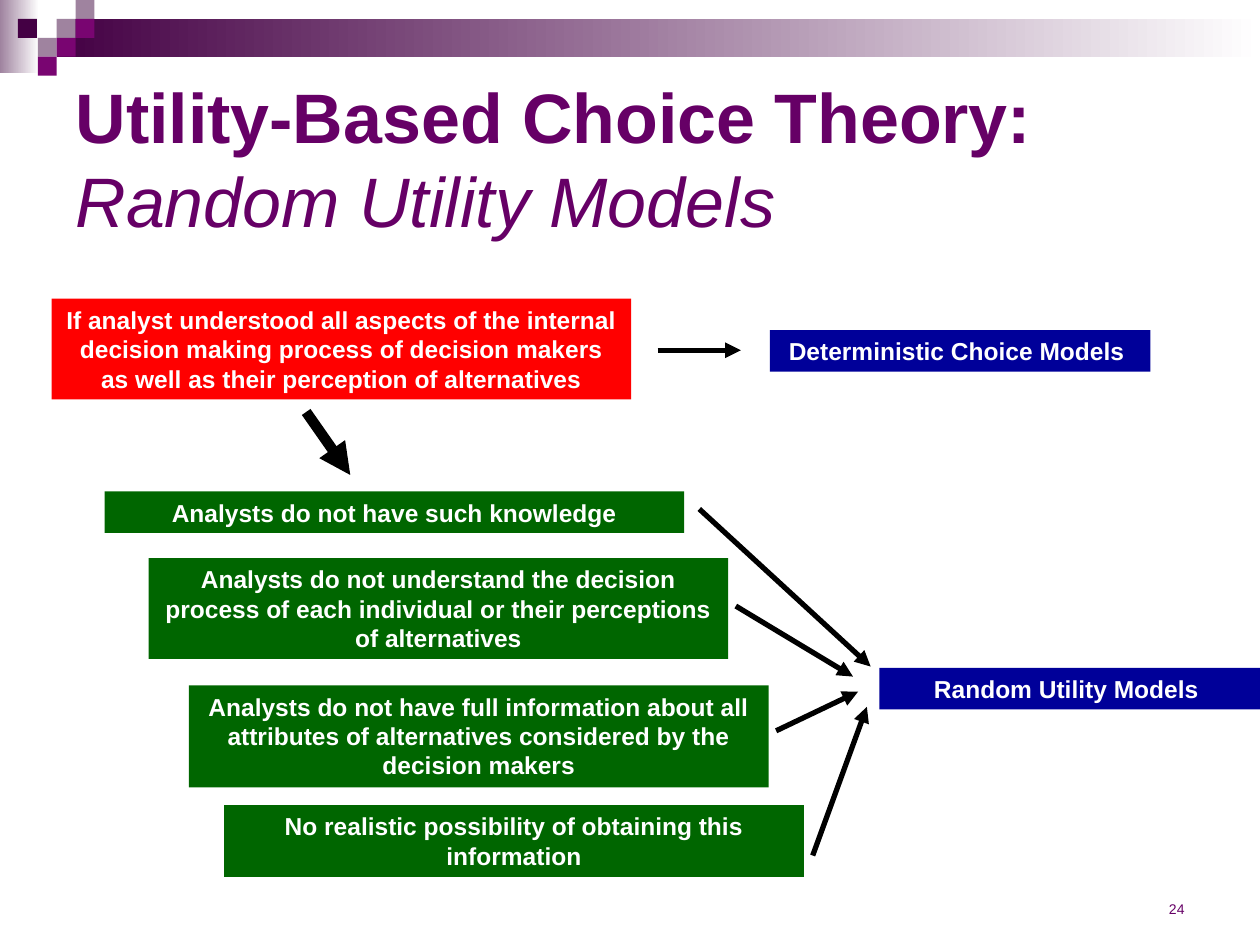
from dataclasses import dataclass

from lxml.etree import SubElement as Sub
from pptx import Presentation
from pptx.dml.color import RGBColor as Rgb
from pptx.enum.shapes import MSO_CONNECTOR as Line, MSO_SHAPE as Kind
from pptx.enum.text import MSO_ANCHOR as Anchor, MSO_AUTO_SIZE as Fit, PP_ALIGN as Align
from pptx.oxml.ns import qn
from pptx.util import Inches, Pt

COLORS = {
    "plum": "660066", "dark": "440044", "mid": "790571", "pale": "9F839F",
    "red": "FF0000", "green": "006600", "blue": "000099",
    "black": "000000", "white": "FFFFFF",
}
COLS, ROWS = 100, 75  # square grid over the slide
WIDE, SLIM = 46, 30.2  # box widths in columns
TILE = 1.5  # side of a corner tile


@dataclass
class Box:
    text: str
    col: float
    row: float
    wide: float
    high: float
    color: str


@dataclass
class Arrow:
    start: tuple[float, float]
    end: tuple[float, float]
    width: float = 3


BOXES = [
    Box("If analyst understood all aspects of the internal decision making process "
        "of decision makers as well as their perception of alternatives",
        4.1, 23.7, WIDE, 8, "red"),
    Box("Deterministic Choice Models ", 61.1, 26.2, SLIM, 3.3, "blue"),
    Box("Analysts do not have such knowledge", 8.3, 39, WIDE, 3.3, "green"),
    Box("Analysts do not understand the decision process of each individual "
        "or their perceptions of alternatives", 11.8, 44.3, WIDE, 8, "green"),
    Box("Analysts do not have full information about all attributes of alternatives "
        "considered by the decision makers", 15, 54.4, WIDE, 8.1, "green"),
    Box("No realistic possibility of obtaining this information",
        17.8, 63.9, WIDE, 5.7, "green"),
    Box("Random Utility Models ", 69.8, 53, SLIM, 3.3, "blue"),
]
ARROWS = [
    Arrow((24.3, 32.7), (27.8, 37.7), 6),
    Arrow((52.2, 27.8), (58.8, 27.8)),
    Arrow((55.5, 40.4), (69.1, 52.9)),
    Arrow((58.4, 48.1), (67.7, 53.7)),
    Arrow((61.6, 58), (68.1, 54.9)),
    Arrow((64.5, 67.9), (68.8, 56.1)),
]
# Corner tiles: column and row in tile units
TILES = [(3, 1, "pale"), (4, 0, "pale"), (4, 1, "mid"), (2, 2, "pale"),
         (0.95, 1, "dark"), (3, 2, "mid"), (2, 3, "mid")]

deck = Presentation()
deck.slide_width, deck.slide_height = Inches(10), Inches(7.5)
slide = deck.slides.add_slide(deck.slide_layouts[5])
shapes = slide.shapes


def grid(*units: float) -> list[int]:
    return [round(deck.slide_width * unit / COLS) for unit in units]


def paint(name: str) -> Rgb:
    return Rgb.from_string(COLORS[name])


def write(para, text: str, *, size: float, color: str = "white",
          bold: bool = False, italic: bool = False, align=None) -> None:
    para.alignment = align
    run = para.add_run()
    run.text = text
    font = run.font
    font.name, font.size = "Arial", Pt(size)
    font.bold, font.italic = bold, italic
    font.color.rgb = paint(color)


def block(col: float, row: float, wide: float, high: float, color: str,
          fade: bool = False):
    shape = shapes.add_shape(Kind.RECTANGLE, *grid(col, row, wide, high))
    shape.shadow.inherit = False
    shape.line.fill.background()
    if fade:
        shape.fill.gradient()
        shape.fill.gradient_angle = 0
        for stop, name in zip(shape.fill.gradient_stops, (color, "white")):
            stop.color.rgb = paint(name)
    else:
        shape.fill.solid()
        shape.fill.fore_color.rgb = paint(color)
    return shape


def label(box: Box) -> None:
    frame = block(box.col, box.row, box.wide, box.high, box.color).text_frame
    frame.word_wrap = True
    frame.auto_size = Fit.SHAPE_TO_FIT_TEXT
    frame.vertical_anchor = Anchor.TOP
    write(frame.paragraphs[0], box.text, size=14, bold=True, align=Align.CENTER)


def link(arrow: Arrow) -> None:
    line = shapes.add_connector(Line.STRAIGHT, *grid(*arrow.start, *arrow.end))
    line.line.width = Pt(arrow.width)
    line.line.color.rgb = paint("black")
    Sub(line.line._get_or_add_ln(), qn("a:tailEnd"), type="triangle")
    Sub(line._element.spPr, qn("a:effectLst"))


# Header band and corner tiles
block(0, 0, 3.1, 5.8, "pale", fade=True)
block(4.5, 1.5, 95.5, 3, "dark", fade=True)
for col, row, color in TILES:
    block(col * TILE, row * TILE, TILE, TILE, color)

# Title
title = shapes.title
title.left, title.top, title.width, title.height = grid(5, 5, 90, 15)
frame = title.text_frame
frame.word_wrap, frame.auto_size = True, Fit.NONE
frame.vertical_anchor = Anchor.MIDDLE
head = frame.paragraphs[0]
write(head, "Utility-Based Choice Theory: ", size=40, color="plum", bold=True)
write(head, "Random Utility Models", size=40, color="plum", italic=True, align=Align.LEFT)

# Slide number
frame = shapes.add_textbox(*grid(45.7, 68.3, 49.3, 5)).text_frame
frame.word_wrap, frame.vertical_anchor = True, Anchor.BOTTOM
write(frame.paragraphs[0], "24", size=8, color="plum", align=Align.RIGHT)

# Diagram
for box in BOXES:
    label(box)
for arrow in ARROWS:
    link(arrow)

deck.save("out.pptx")
